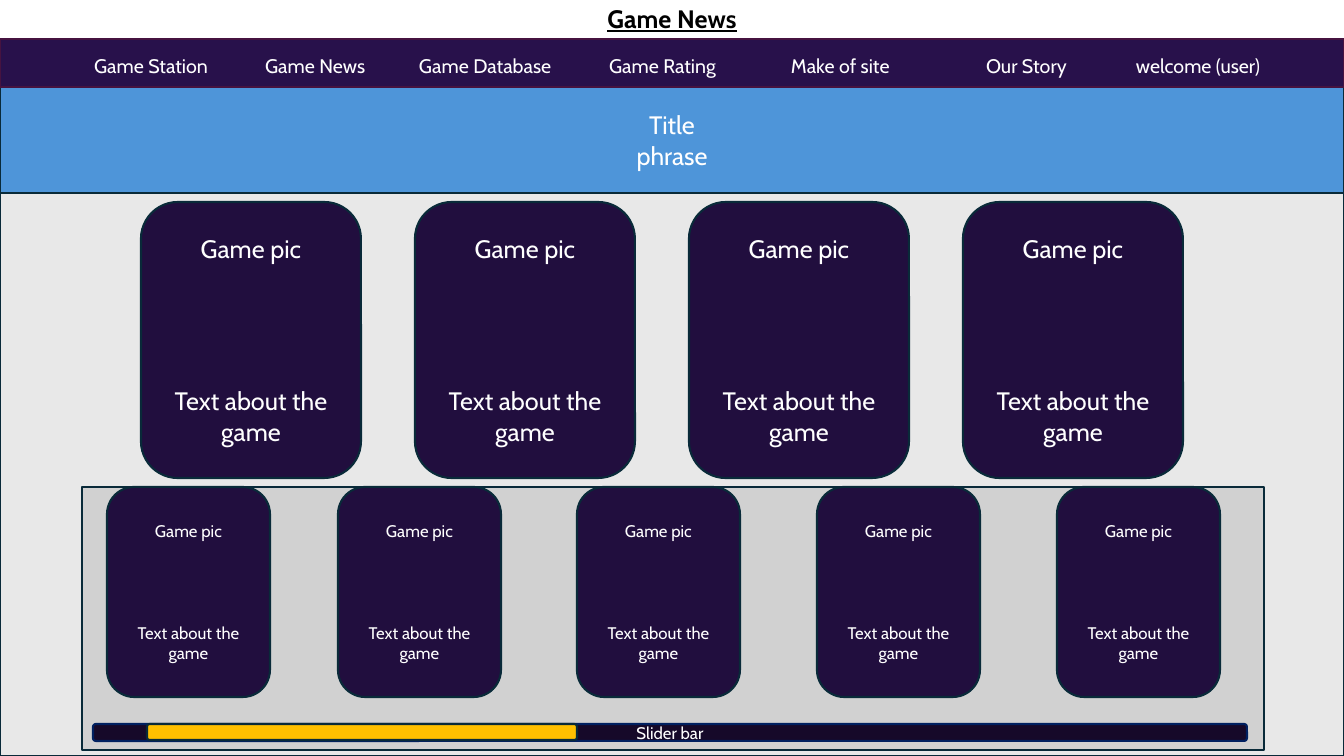
import pptx
import pptx.util
import pptx.dml.color
import pptx.enum.shapes
import pptx.enum.text
import pptx.oxml
import lxml.etree

PX = 914400 / 100.8
INK = {
    "white": "FFFFFF", "black": "000000", "edge": "092A39",
    "band": "4E95D9", "page": "E8E8E8", "card": "210E3E",
    "tray": "D1D1D1", "track": "160929", "navy": "002060",
    "thumb": "FFC000", "nav": "28114B", "plum": "461340",
}
RECT = pptx.enum.shapes.MSO_SHAPE.RECTANGLE
ROUND = pptx.enum.shapes.MSO_SHAPE.ROUNDED_RECTANGLE
MIDDLE = pptx.enum.text.MSO_ANCHOR.MIDDLE
CENTER = pptx.enum.text.PP_ALIGN.CENTER
LEFT = pptx.enum.text.PP_ALIGN.LEFT


def color(name):
    return pptx.dml.color.RGBColor.from_string(INK[name])


def box(kind, place, fill, line="edge", text="", size=18, gap=0, align=CENTER):
    shape = slide.shapes.add_shape(kind, *[round(n * PX) for n in place])
    shape.shadow.inherit = False
    shape.fill.solid()
    shape.fill.fore_color.rgb = color(fill)
    shape.line.color.rgb = color(line)
    shape.line.width = pptx.util.Pt(1.5)
    if text:
        frame = shape.text_frame
        frame.word_wrap = True
        frame.vertical_anchor = MIDDLE
        frame.text = text
        for i, para in enumerate(frame.paragraphs):
            para.alignment = align
            para.space_before = pptx.util.Pt(gap if i else 0)
            for run in para.runs:
                run.font.name = "Cabin"
                run.font.size = pptx.util.Pt(size)
                run.font.color.rgb = color("white")
    return shape


deck = pptx.Presentation()
deck.slide_width = round(1344 * PX)
deck.slide_height = round(756 * PX)
slide = deck.slides.add_slide(deck.slide_layouts[5])

title = slide.shapes.title
title.left, title.top, title.width, title.height = [
    round(n * PX) for n in (499, 6, 346, 25)]
title.fill.solid()
title.fill.fore_color.rgb = color("white")
title.text_frame.text = "Game News"
title.text_frame.vertical_anchor = MIDDLE
title.text_frame.auto_size = pptx.enum.text.MSO_AUTO_SIZE.NONE
head = title.text_frame.paragraphs[0]
head.alignment = CENTER
font = head.runs[0].font
font.name = "Cabin"
font.size = pptx.util.Pt(18)
font.bold = True
font.underline = True
font.color.rgb = color("black")

box(RECT, (0, 87, 1344, 106), "band", text="Title\nphrase")
box(RECT, (0, 193, 1344, 563), "page")

blurb = "Game pic\nText about the game"
for col in range(4):
    box(ROUND, (141 + 274 * col, 202, 220, 276), "card", text=blurb, gap=87)

box(RECT, (82, 487, 1182, 263), "tray")
for left in (107, 338, 577, 817, 1057):
    box(ROUND, (left, 487, 163, 210), "card", text=blurb, size=12, gap=58)

track = box(ROUND, (93, 724, 1154, 17), "track", "navy", "Slider bar", 12)
track.text_frame.margin_top = track.text_frame.margin_bottom = 0
box(ROUND, (147, 724, 430, 16), "thumb")

links = {
    "Game Station": 94, "Game News": 265, "Game Database": 419,
    "Game Rating": 609, "Make of site": 791, "Our Story": 986,
    "welcome (user)": 1136,
}
menu = "".join("\t" + name for name in links)
nav = box(RECT, (0, 39, 1344, 48), "nav", "plum", menu, 14, align=LEFT)
nav.text_frame.margin_left = nav.text_frame.margin_right = 0
nav.text_frame.margin_top = round(10 * PX)
nav.text_frame.margin_bottom = round(4 * PX)
props = nav.text_frame.paragraphs[0]._p.get_or_add_pPr()
tabs = lxml.etree.SubElement(props, pptx.oxml.ns.qn("a:tabLst"))
for left in links.values():
    lxml.etree.SubElement(tabs, pptx.oxml.ns.qn("a:tab"),
                          pos=str(round(left * PX)), algn="l")

deck.save("out.pptx")
